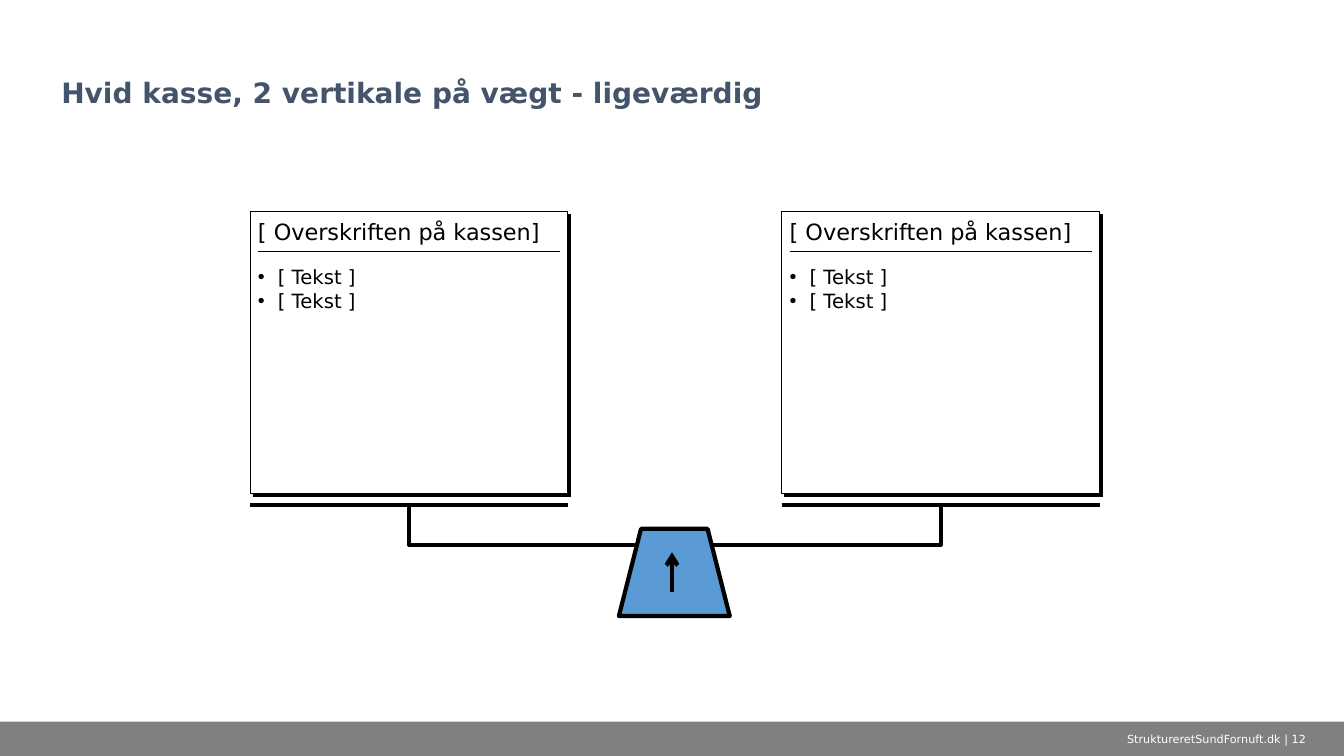
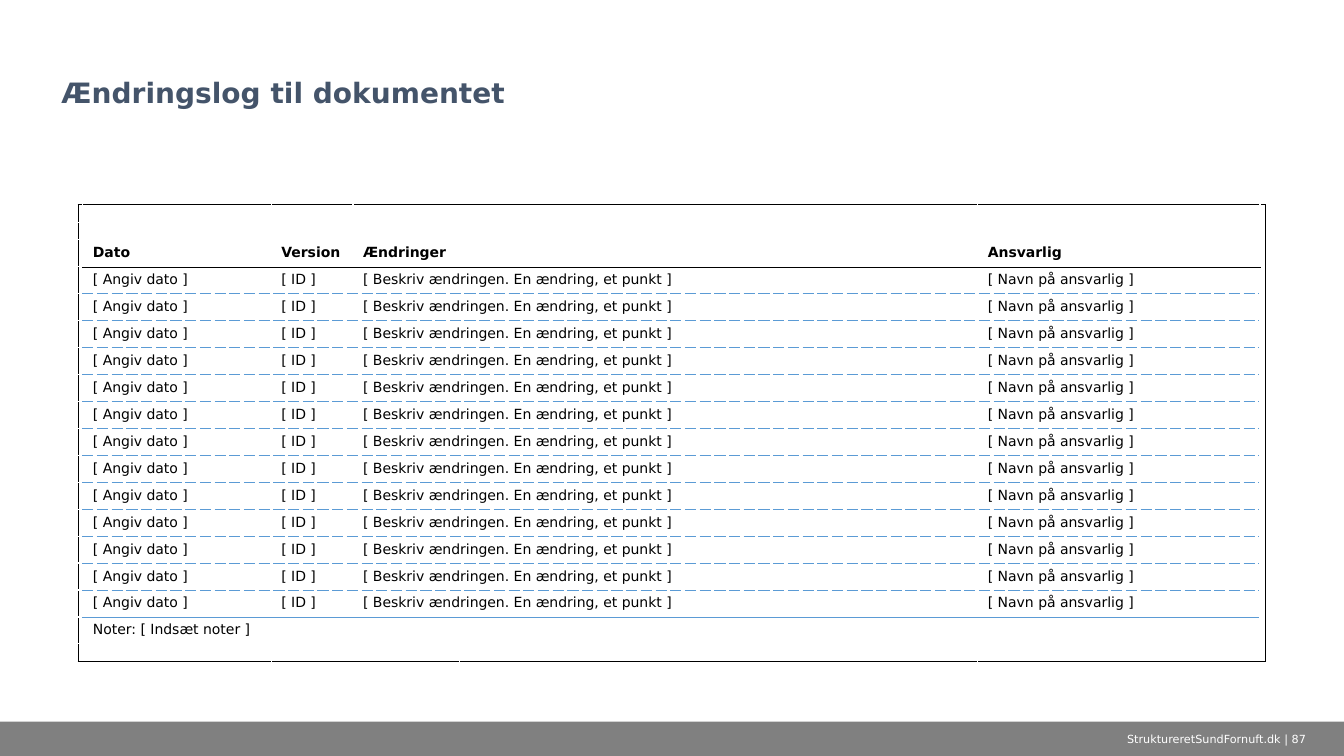
from pptx import Presentation
from pptx.dml.color import RGBColor
from pptx.enum.shapes import MSO_CONNECTOR, MSO_SHAPE
from pptx.enum.text import MSO_ANCHOR, PP_ALIGN
from pptx.oxml.ns import qn
from pptx.oxml.xmlchemy import OxmlElement
from pptx.util import Pt

# Shared look
FONT = "DejaVu Sans"
BLACK, WHITE, GREY = "000000", "FFFFFF", "808080"
NAVY, BLUE = "44546A", "5B9BD5"
SLIDE_W, SLIDE_H = 960, 540
BAND_TOP = 515.5

# Balance
BOX_TOP, BOX_W, BOX_H = 151.2, 227, 201.6
BOX_LEFTS = (178.6, 558.4)
PAN_Y, BEAM_DROP = 360.7, 28.4
INSET_X, INSET_Y = 5.7, 4.3

# Change log
COL_WIDTHS = (3.6, 134.6, 58.4, 76.3, 370, 201.6, 3.6)
SPACER_H, TEXT_H = 12.5, 18.9
HEADER_ROW, FIRST_ENTRY, LAST_ENTRY, NOTE_ROW, LAST_ROW = 3, 4, 16, 17, 18
LAST_COL = len(COL_WIDTHS) - 1
HEADERS = {1: "Dato", 2: "Version", 3: "Ændringer", 5: "Ansvarlig"}
ENTRY = {1: "[ Angiv dato ]", 2: "[ ID ]",
         3: "[ Beskriv ændringen. En ændring, et punkt ]",
         5: "[ Navn på ansvarlig ]"}
FRAME = (BLACK, 0.5, "solid")
NO_RULE = (WHITE, 1, "solid")


def rgb(color):
    return RGBColor.from_string(color)


def xml_child(parent, tag, **attrs):
    child = OxmlElement(tag)
    for name, value in attrs.items():
        child.set(name, str(value))
    parent.append(child)
    return child


def style_font(font, size, color, bold=False):
    font.name = FONT
    font.size = Pt(size)
    font.bold = bold
    font.color.rgb = rgb(color)


def add_text(s, lines, left, top, width, height, size, color=BLACK, bold=False,
             align=PP_ALIGN.LEFT, anchor=MSO_ANCHOR.TOP, inset=(7.2, 3.6),
             spacing=None, bullets=False):
    tf = s.shapes.add_textbox(Pt(left), Pt(top), Pt(width), Pt(height)).text_frame
    tf.word_wrap = True
    tf.vertical_anchor = anchor
    tf.margin_left = tf.margin_right = Pt(inset[0])
    tf.margin_top = tf.margin_bottom = Pt(inset[1])
    tf.text = "\n".join(lines)
    for p in tf.paragraphs:
        p.alignment = align
        if spacing:
            p.line_spacing = spacing
        if bullets:
            pPr = p._p.get_or_add_pPr()
            pPr.set("marL", str(Pt(14.2)))
            pPr.set("indent", str(-Pt(14.2)))
            xml_child(pPr, "a:buFont", typeface="Arial")
            xml_child(pPr, "a:buChar", char="•")
        style_font(p.font, size, color, bold)


def add_shape(s, kind, left, top, width, height, fill=None, line_width=None):
    sp = s.shapes.add_shape(kind, Pt(left), Pt(top), Pt(width), Pt(height))
    sp.shadow.inherit = False
    if fill:
        sp.fill.solid()
        sp.fill.fore_color.rgb = rgb(fill)
    else:
        sp.fill.background()
    if line_width:
        sp.line.color.rgb = rgb(BLACK)
        sp.line.width = Pt(line_width)
    else:
        sp.line.fill.background()
    return sp


def add_line(s, x1, y1, x2, y2, width, arrow=False):
    line = s.shapes.add_connector(MSO_CONNECTOR.STRAIGHT,
                                  Pt(x1), Pt(y1), Pt(x2), Pt(y2))
    line.line.color.rgb = rgb(BLACK)
    line.line.width = Pt(width)
    if arrow:
        xml_child(line.line._get_or_add_ln(), "a:tailEnd", type="arrow")
    xml_child(line._element.spPr, "a:effectLst")


def add_slide(prs, title, number):
    """Blank slide with the shared footer band and title."""
    s = prs.slides.add_slide(prs.slide_layouts[6])
    add_shape(s, MSO_SHAPE.RECTANGLE, 0, BAND_TOP, SLIDE_W, SLIDE_H - BAND_TOP, GREY)
    add_text(s, [title], 36.7, 12.2, 886.4, 69.8, 20, NAVY, bold=True,
             anchor=MSO_ANCHOR.BOTTOM, spacing=0.9)
    add_text(s, [f"StruktureretSundFornuft.dk | {number}"], 778.3, BAND_TOP, 181.5,
             SLIDE_H - BAND_TOP, 8, WHITE, align=PP_ALIGN.CENTER,
             anchor=MSO_ANCHOR.MIDDLE)
    return s


def add_box(s, left):
    """White box with a hard shadow, heading and bullets, standing on a pan."""
    add_line(s, left, PAN_Y, left + BOX_W, PAN_Y, 3)
    box = add_shape(s, MSO_SHAPE.RECTANGLE, left, BOX_TOP, BOX_W, BOX_H, WHITE, 0.5)
    effects = box._element.spPr.find(qn("a:effectLst"))
    shadow = xml_child(effects, "a:outerShdw", blurRad=0, dist=Pt(3), dir=45 * 60000,
                       algn="tl", rotWithShape=0)
    xml_child(shadow, "a:srgbClr", val=BLACK)
    heading_h = 28.1
    rule_y = BOX_TOP + heading_h
    add_line(s, left + INSET_X, rule_y, left + BOX_W - INSET_X, rule_y, 0.5)
    add_text(s, ["[ Overskriften på kassen]"], left, BOX_TOP, BOX_W, heading_h, 16,
             anchor=MSO_ANCHOR.BOTTOM, inset=(INSET_X, INSET_Y))
    add_text(s, ["[ Tekst ]"] * 2, left, rule_y + INSET_X, BOX_W, 153.4, 14,
             inset=(INSET_X, INSET_Y), bullets=True)


def add_scale(s):
    """Beam between the pan centres, the foot and its pointer."""
    span = BOX_LEFTS[1] - BOX_LEFTS[0]
    mid_x = (sum(BOX_LEFTS) + BOX_W) / 2
    mid_y = PAN_Y + BEAM_DROP / 2
    beam = add_shape(s, MSO_SHAPE.RIGHT_BRACKET, mid_x - BEAM_DROP / 2,
                     mid_y - span / 2, BEAM_DROP, span, line_width=3)
    beam.adjustments[0] = 0
    beam.rotation = 90
    foot = add_shape(s, MSO_SHAPE.FLOWCHART_MANUAL_OPERATION, 442.1, 377.8, 79.2, 62.3,
                     BLUE, 3)
    foot._element.spPr.xfrm.set("flipV", "1")
    add_line(s, SLIDE_W / 2, 423.2, SLIDE_W / 2, 394.5, 3, arrow=True)


def rule_below(row, col):
    """Colour, width and dash of the rule under a cell."""
    if row in (0, LAST_ROW):
        return FRAME
    if col in (0, LAST_COL):
        return NO_RULE
    if row == HEADER_ROW:
        return BLACK, 0.25, "solid"
    if FIRST_ENTRY <= row < LAST_ENTRY:
        return BLUE, 0.25, "dash"
    if row == LAST_ENTRY:
        return BLUE, 0.5, "solid"
    return NO_RULE


def set_borders(cell, row, col):
    edges = {"a:lnB": rule_below(row, col)}
    if row > 0:
        edges = {"a:lnL": FRAME if col == 0 else NO_RULE,
                 "a:lnR": FRAME if col == LAST_COL else NO_RULE,
                 "a:lnT": rule_below(row - 1, col), **edges}
    tcPr = cell._tc.get_or_add_tcPr()
    for tag, (color, width, dash) in edges.items():
        ln = xml_child(tcPr, tag, w=Pt(width))
        xml_child(xml_child(ln, "a:solidFill"), "a:srgbClr", val=color)
        xml_child(ln, "a:prstDash", val=dash)


def row_texts(row):
    if row == HEADER_ROW:
        return HEADERS
    if FIRST_ENTRY <= row <= LAST_ENTRY:
        return ENTRY
    return {1: "Noter: [ Indsæt noter ]"} if row == NOTE_ROW else {}


def merged_columns(row):
    return {0: (0, LAST_COL), NOTE_ROW: (1, 5), LAST_ROW: (2, 3)}.get(row, (3, 4))


def fill_cell(cell, row, col, text):
    set_borders(cell, row, col)
    if row == 0:
        cell.fill.background()
    else:
        cell.fill.solid()
        cell.fill.fore_color.rgb = rgb(WHITE)
    p = cell.text_frame.paragraphs[0]
    if text:
        # Table styles override paragraph fonts, so the run carries the font
        r = p.add_run()
        r.text = text
        style_font(r.font, 10, BLACK, row == HEADER_ROW)
    else:
        cell.margin_left = cell.margin_right = 0
        xml_child(p._p, "a:endParaRPr", sz=400)
    if row == HEADER_ROW:
        cell.vertical_anchor = MSO_ANCHOR.MIDDLE


def add_change_log(s):
    heights = [TEXT_H if row_texts(row) else SPACER_H for row in range(LAST_ROW + 1)]
    table = s.shapes.add_table(len(heights), len(COL_WIDTHS), Pt(55.6), Pt(133.8),
                               Pt(sum(COL_WIDTHS)), Pt(sum(heights))).table
    table.first_row = table.horz_banding = False
    for column, width in zip(table.columns, COL_WIDTHS):
        column.width = Pt(width)
    for row, height in enumerate(heights):
        table.rows[row].height = Pt(height)
        texts = row_texts(row)
        for col in range(len(COL_WIDTHS)):
            fill_cell(table.cell(row, col), row, col, texts.get(col))
        first, last = merged_columns(row)
        table.cell(row, first).merge(table.cell(row, last))


def main():
    prs = Presentation()
    prs.slide_width, prs.slide_height = Pt(SLIDE_W), Pt(SLIDE_H)

    # Two boxes in balance
    s = add_slide(prs, "Hvid kasse, 2 vertikale på vægt - ligeværdig", 12)
    for left in BOX_LEFTS:
        add_box(s, left)
    add_scale(s)

    # Change log
    s = add_slide(prs, "Ændringslog til dokumentet", 87)
    add_change_log(s)

    prs.save("out.pptx")


if __name__ == "__main__":
    main()
